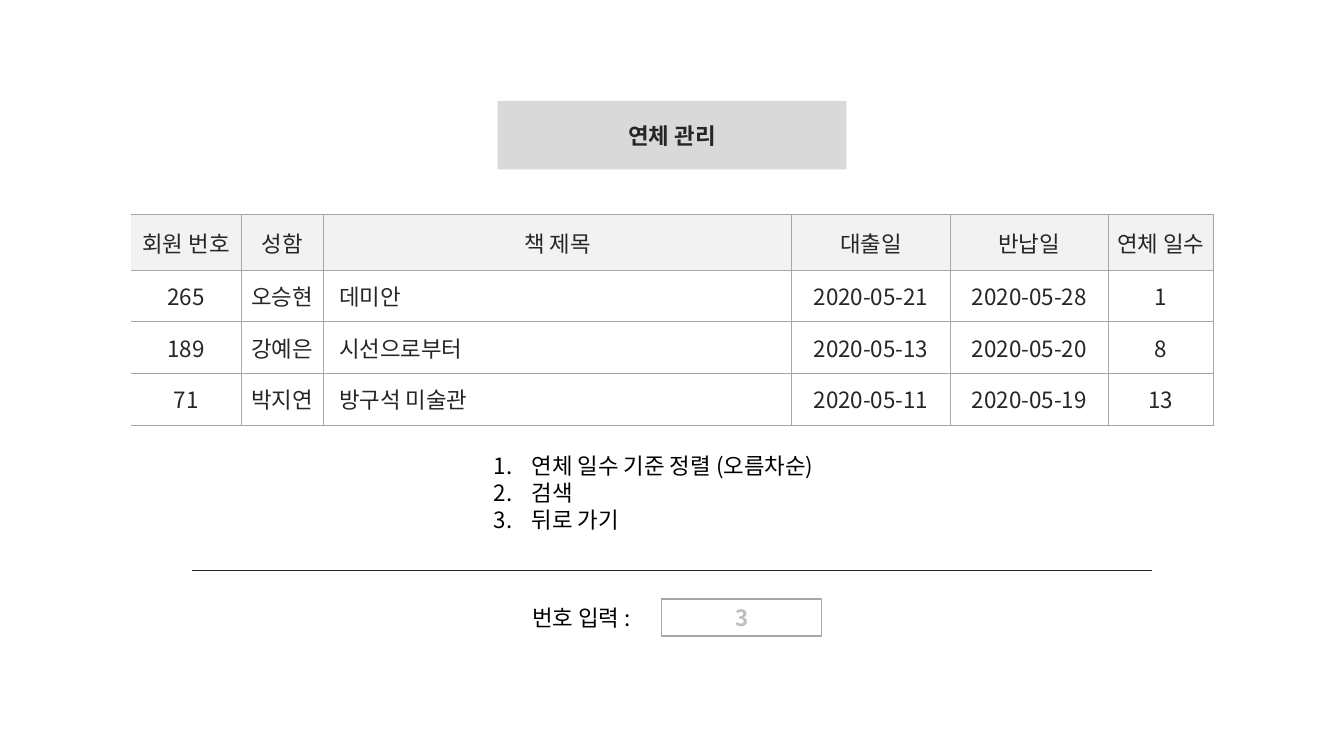
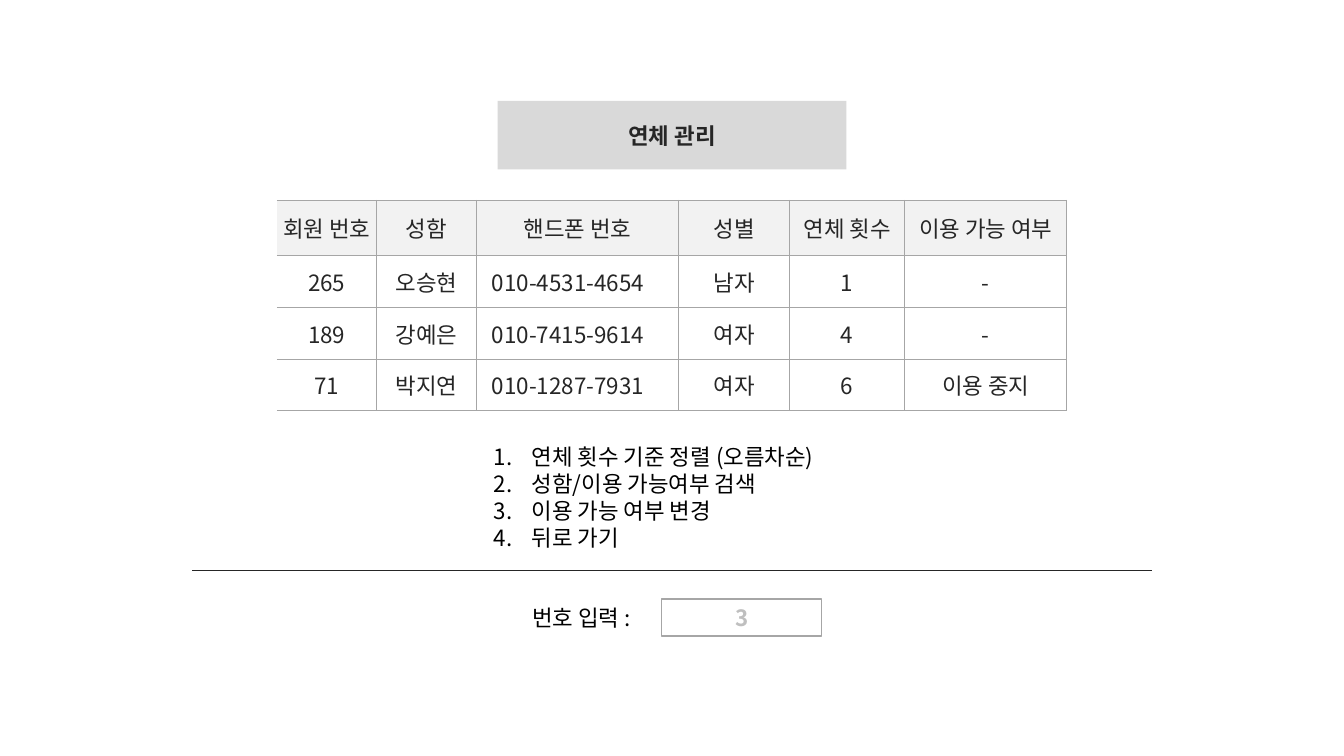
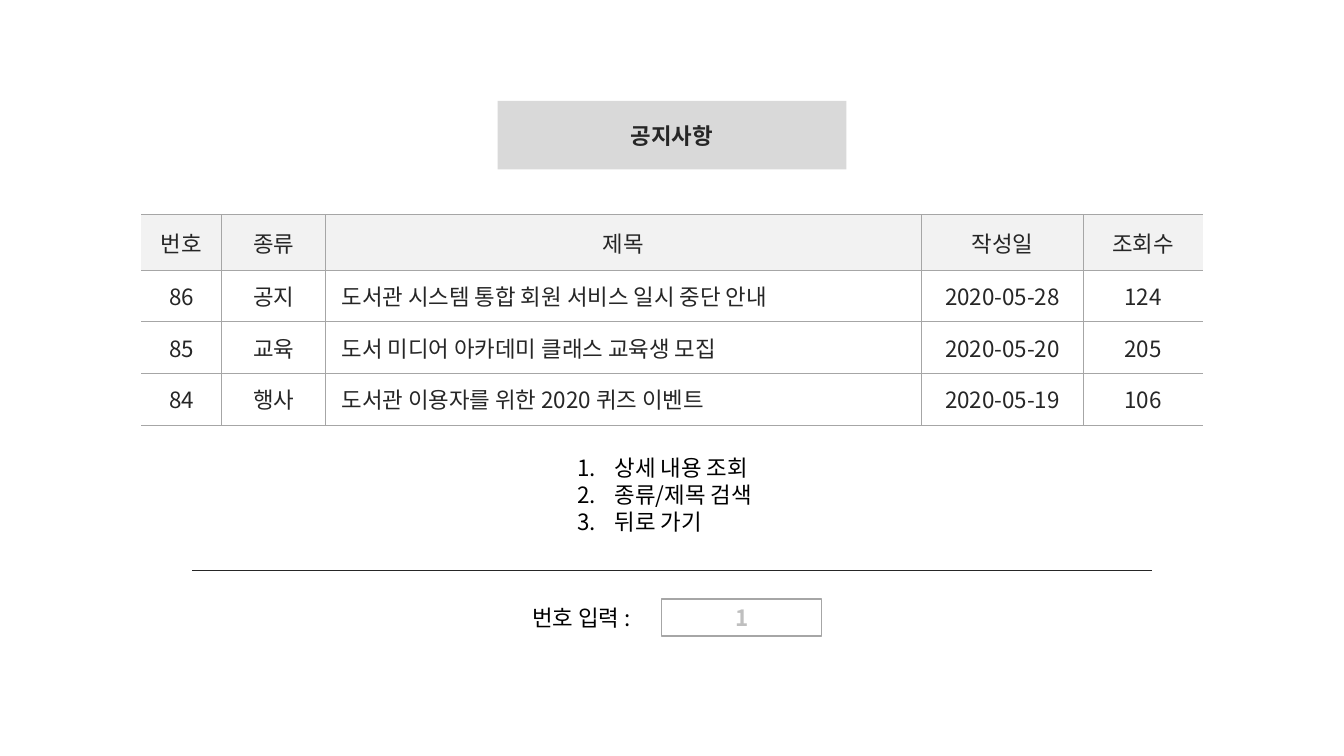
from lxml.etree import SubElement
from pptx import Presentation
from pptx.dml.color import RGBColor
from pptx.enum.shapes import MSO_CONNECTOR, MSO_SHAPE
from pptx.enum.text import MSO_ANCHOR, MSO_AUTO_SIZE, PP_ALIGN
from pptx.oxml.ns import qn
from pptx.util import Cm, Pt

BLACK = RGBColor(0x00, 0x00, 0x00)
INK = RGBColor(0x26, 0x26, 0x26)
BORDER = RGBColor(0xA6, 0xA6, 0xA6)
HINT = RGBColor(0xBF, 0xBF, 0xBF)
BAND = RGBColor(0xD9, 0xD9, 0xD9)
HEADER = RGBColor(0xF2, 0xF2, 0xF2)
WHITE = RGBColor(0xFF, 0xFF, 0xFF)
FONT = "Noto Sans CJK KR"
TEXT_COLUMN = 2

SCREENS = [
    {
        "title": "연체 관리",
        "table_top": 5.41,
        "columns": [2.79, 2.06, 11.81, 3.99, 3.99, 2.64],
        "right_edge": True,
        "rows": [
            ["회원 번호", "성함", "책 제목", "대출일", "반납일", "연체 일수"],
            ["265", "오승현", "데미안", "2020-05-21", "2020-05-28", "1"],
            ["189", "강예은", "시선으로부터", "2020-05-13", "2020-05-20", "8"],
            ["71", "박지연", "방구석 미술관", "2020-05-11", "2020-05-19", "13"],
        ],
        "menu_top": 11.28,
        "menu_width": 9.47,
        "menu": ["연체 일수 기준 정렬 (오름차순)", "검색", "뒤로 가기"],
        "choice": "3",
    },
    {
        "title": "연체 관리",
        "table_top": 5.05,
        "columns": [2.51, 2.51, 5.11, 2.79, 2.9, 4.09],
        "right_edge": True,
        "rows": [
            ["회원 번호", "성함", "핸드폰 번호", "성별", "연체 횟수", "이용 가능 여부"],
            ["265", "오승현", "010-4531-4654", "남자", "1", "-"],
            ["189", "강예은", "010-7415-9614", "여자", "4", "-"],
            ["71", "박지연", "010-1287-7931", "여자", "6", "이용 중지"],
        ],
        "menu_top": 11.05,
        "menu_width": 9.47,
        "menu": ["연체 횟수 기준 정렬 (오름차순)", "성함/이용 가능여부 검색",
                 "이용 가능 여부 변경", "뒤로 가기"],
        "choice": "3",
    },
    {
        "title": "공지사항",
        "table_top": 5.41,
        "columns": [2.03, 2.62, 15.01, 4.09, 3],
        "right_edge": False,
        "rows": [
            ["번호", "종류", "제목", "작성일", "조회수"],
            ["86", "공지", "도서관 시스템 통합 회원 서비스 일시 중단 안내", "2020-05-28", "124"],
            ["85", "교육", "도서 미디어 아카데미 클래스 교육생 모집", "2020-05-20", "205"],
            ["84", "행사", "도서관 이용자를 위한 2020 퀴즈 이벤트", "2020-05-19", "106"],
        ],
        "menu_top": 11.33,
        "menu_width": 5.28,
        "menu": ["상세 내용 조회", "종류/제목 검색", "뒤로 가기"],
        "choice": "1",
    },
]


def write(para, text, color=BLACK, font=FONT, bold=False, align=PP_ALIGN.LEFT):
    para.alignment = align
    span = para.add_run()
    span.text = text
    span.font.size = Pt(16)
    span.font.bold = bold
    span.font.color.rgb = color
    span.font.name = font
    SubElement(span.font._element, qn("a:ea"), typeface=FONT)


def set_borders(cell, sides):
    """Draw the named sides (L, R, T, B) of a cell and clear the others."""
    properties = cell._tc.get_or_add_tcPr()
    for side in "LRTB":
        line = SubElement(properties, qn(f"a:ln{side}"), w=str(Pt(0.75)))
        if side in sides:
            fill = SubElement(line, qn("a:solidFill"))
            SubElement(fill, qn("a:srgbClr"), val=str(BORDER))
        else:
            SubElement(line, qn("a:noFill"))


deck = Presentation()
deck.slide_width, deck.slide_height = Cm(33.87), Cm(19.05)

for screen in SCREENS:
    page = deck.slides.add_slide(deck.slide_layouts[5])

    title = page.shapes.title
    title.width, title.height = Cm(8.79), Cm(1.73)
    title.left, title.top = (deck.slide_width - title.width) // 2, Cm(2.54)
    title.fill.solid()
    title.fill.fore_color.rgb = BAND
    title.text_frame.vertical_anchor = MSO_ANCHOR.MIDDLE
    write(title.text_frame.paragraphs[0], screen["title"], color=INK,
          font="Arial", bold=True, align=PP_ALIGN.CENTER)

    rows, columns = screen["rows"], screen["columns"]
    width = Cm(sum(columns))
    table = page.shapes.add_table(
        len(rows), len(columns), (deck.slide_width - width) // 2,
        Cm(screen["table_top"]), width, Cm(5.3)).table
    table.first_row = table.horz_banding = False
    for column, column_width in zip(table.columns, columns):
        column.width = Cm(column_width)
    for r, row in enumerate(rows):
        table.rows[r].height = Cm(1.3 if r else 1.4)
        for c, text in enumerate(row):
            cell = table.cell(r, c)
            is_text = r > 0 and c == TEXT_COLUMN
            cell.margin_left = Cm(0.4 if is_text else 0)
            cell.margin_right = cell.margin_top = cell.margin_bottom = 0
            cell.vertical_anchor = MSO_ANCHOR.MIDDLE
            sides = "TB"
            if c > 0:
                sides += "L"
            if c < len(columns) - 1 or screen["right_edge"]:
                sides += "R"
            set_borders(cell, sides)
            cell.fill.solid()
            cell.fill.fore_color.rgb = WHITE if r else HEADER
            write(cell.text_frame.paragraphs[0], text, color=INK,
                  align=PP_ALIGN.LEFT if is_text else PP_ALIGN.CENTER)

    menu_width = Cm(screen["menu_width"])
    menu = page.shapes.add_textbox(
        (deck.slide_width - menu_width) // 2, Cm(screen["menu_top"]),
        menu_width, Cm(0.25 + 0.69 * len(screen["menu"])))
    menu.text_frame.word_wrap = False
    menu.text_frame.auto_size = MSO_AUTO_SIZE.SHAPE_TO_FIT_TEXT
    for i, text in enumerate(screen["menu"]):
        para = menu.text_frame.add_paragraph() if i else menu.text_frame.paragraphs[0]
        properties = para._p.get_or_add_pPr()
        properties.set("marL", str(Cm(0.95)))
        properties.set("indent", str(-Cm(0.95)))
        SubElement(properties, qn("a:buFont"), typeface="+mj-lt")
        SubElement(properties, qn("a:buAutoNum"), type="arabicPeriod")
        write(para, text)

    divider = page.shapes.add_connector(
        MSO_CONNECTOR.STRAIGHT, Cm(4.84), Cm(14.38), Cm(29.03), Cm(14.38))
    divider.line.color.rgb = INK
    divider.line.width = Pt(0.5)
    SubElement(divider._element.spPr, qn("a:effectLst"))

    prompt = page.shapes.add_group_shape()
    label = prompt.shapes.add_textbox(Cm(13.16), Cm(15.09), Cm(3.53), Cm(0.94))
    label.text_frame.word_wrap = False
    label.text_frame.auto_size = MSO_AUTO_SIZE.SHAPE_TO_FIT_TEXT
    write(label.text_frame.paragraphs[0], "번호 입력 :")

    entry = prompt.shapes.add_shape(
        MSO_SHAPE.RECTANGLE, Cm(16.67), Cm(15.09), Cm(4.04), Cm(0.94))
    entry.shadow.inherit = False
    entry.fill.solid()
    entry.fill.fore_color.rgb = WHITE
    entry.line.color.rgb = BORDER
    entry.line.width = Pt(1)
    entry.text_frame.vertical_anchor = MSO_ANCHOR.MIDDLE
    write(entry.text_frame.paragraphs[0], screen["choice"], color=HINT,
          bold=True, align=PP_ALIGN.CENTER)

deck.save("out.pptx")
